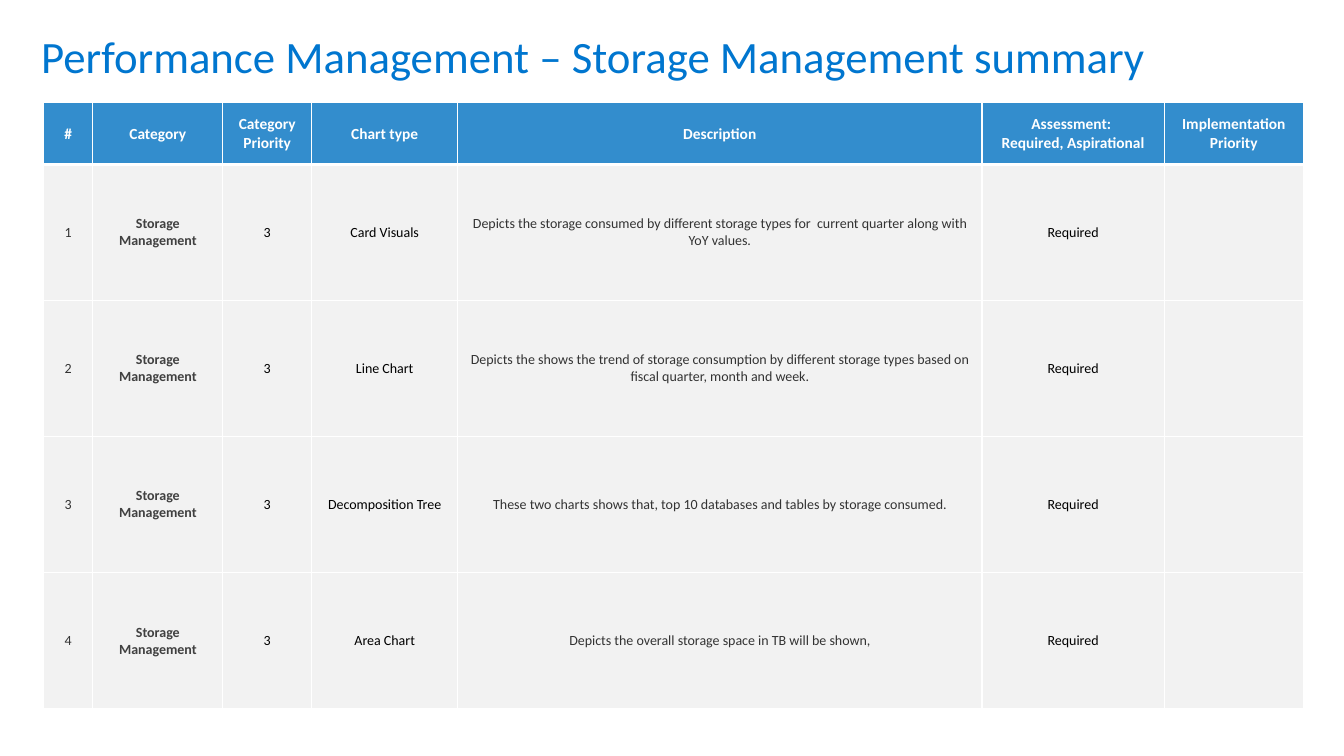
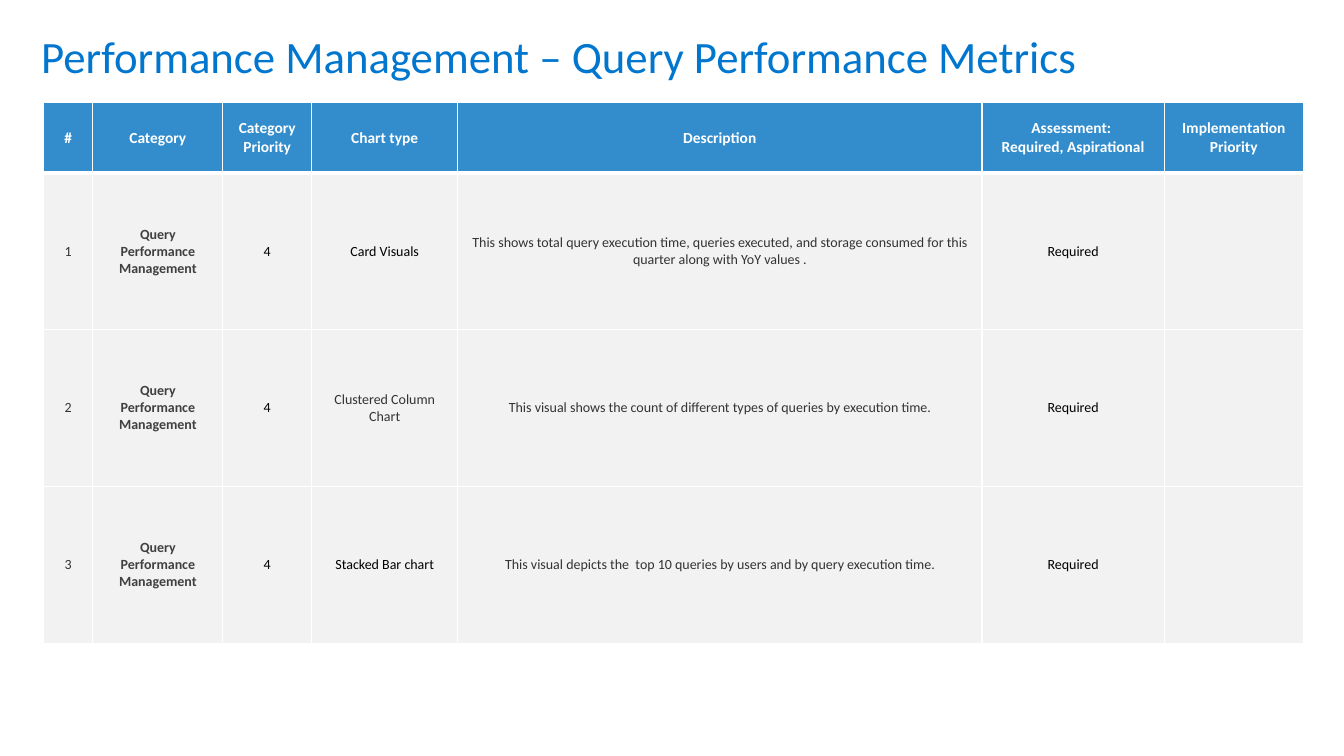
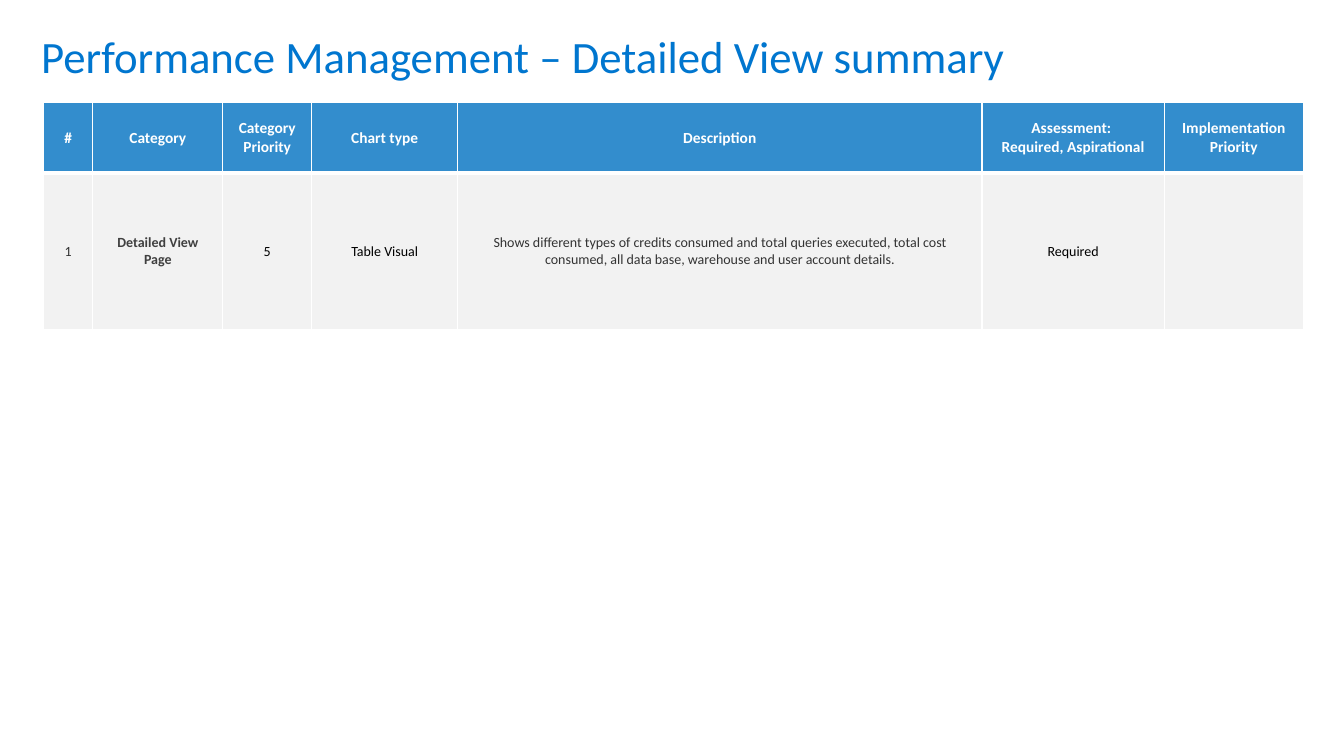
"""Build three summary slides, each a title above a table of charts."""
from lxml.etree import SubElement
from pptx import Presentation
from pptx.dml.color import RGBColor
from pptx.enum.text import MSO_ANCHOR, PP_ALIGN
from pptx.oxml.ns import qn
from pptx.util import Pt

HEX = {"title": "0076CF", "head": "338DCD", "cell": "F2F2F2", "white": "FFFFFF",
       "black": "000000", "dark": "333333", "gray": "404040"}
FONT = "Calibri"
HEADS = ["#", "Category", "Category Priority", "Chart type", "Description",
         "Assessment: \nRequired, Aspirational", "Implementation Priority"]
WIDTHS = [35.3, 92.9, 63.4, 104.4, 374.4, 130.3, 99.3]
SHADES = ["dark", "gray", "black", "black", "dark", "black", "black"]
GRAY_KINDS = {"Clustered Column Chart"}
LEFT, TOP = 31, 73.5

PAGES = [
    {"title": "Storage Management summary", "group": "Storage Management",
     "rank": "3", "head": 44, "row": 97.2, "charts": [
         ("Card Visuals", "Depicts the storage consumed by different storage types "
          "for  current quarter along with YoY values."),
         ("Line Chart", "Depicts the shows the trend of storage consumption by different "
          "storage types based on fiscal quarter, month and week."),
         ("Decomposition Tree", "These two charts shows that, top 10 databases and "
          "tables by storage consumed."),
         ("Area Chart", "Depicts the overall storage space in TB will be shown,")]},
    {"title": "Query Performance Metrics", "group": "Query Performance Management",
     "rank": "4", "head": 50, "row": 112, "charts": [
         ("Card Visuals", "This shows total query execution time, queries executed, and "
          "storage consumed for this quarter along with YoY values ."),
         ("Clustered Column Chart", "This visual shows the count of different types of "
          "queries by execution time."),
         ("Stacked Bar chart", "This visual depicts the  top 10 queries by users and by "
          "query execution time.")]},
    {"title": "Detailed View summary", "group": "Detailed View Page",
     "rank": "5", "head": 50, "row": 112, "charts": [
         ("Table Visual", "Shows different types of credits consumed and total queries "
          "executed, total cost consumed, all data base, warehouse and user account "
          "details.")]},
]


def color(name):
    return RGBColor.from_string(HEX[name])


def style(para, size, shade, bold=False):
    font = para.font
    font.name, font.size, font.bold = FONT, Pt(size), bold
    font.color.rgb = color(shade)


def edge(cell, top, base):
    props = cell._tc.get_or_add_tcPr()
    for side, width in (("L", 1), ("R", 1), ("T", top), ("B", base)):
        line = SubElement(props, qn(f"a:ln{side}"), w=str(Pt(width)))
        fill = SubElement(line, qn("a:solidFill"))
        SubElement(fill, qn("a:srgbClr"), val=HEX["white"])


def paint(cell, text, fill, size, shade, bold, top=1, base=1):
    edge(cell, top, base)
    cell.fill.solid()
    cell.fill.fore_color.rgb = color(fill)
    cell.vertical_anchor = MSO_ANCHOR.MIDDLE
    para = cell.text_frame.paragraphs[0]
    para.text = text
    para.alignment = PP_ALIGN.CENTER
    style(para, size, shade, bold)


def add_title(slide, text):
    frame = slide.shapes.add_textbox(Pt(22.3), Pt(17.3), Pt(937.4), Pt(40.3)).text_frame
    frame.word_wrap = True
    para = frame.paragraphs[0]
    para.text = f"Performance Management – {text}"
    style(para, 32, "title")


def add_grid(slide, page):
    charts = page["charts"]
    tall = [page["head"]] + [page["row"]] * len(charts)
    table = slide.shapes.add_table(len(tall), len(WIDTHS), Pt(LEFT), Pt(TOP),
                                   Pt(sum(WIDTHS)), Pt(sum(tall))).table
    for col, width in zip(table.columns, WIDTHS):
        col.width = Pt(width)
    for row, height in zip(table.rows, tall):
        row.height = Pt(height)
    for c, text in enumerate(HEADS):
        paint(table.cell(0, c), text, "head", 11, "white", True, base=3)
    for r, (kind, note) in enumerate(charts, 1):
        texts = [str(r), page["group"], page["rank"], kind, note, "Required", ""]
        for c, (text, shade) in enumerate(zip(texts, SHADES)):
            shade = "dark" if text in GRAY_KINDS else shade
            paint(table.cell(r, c), text, "cell", 10, shade, c == 1,
                  top=3 if r == 1 else 1)


def main():
    deck = Presentation()
    deck.slide_width, deck.slide_height = Pt(960), Pt(540)
    for page in PAGES:
        slide = deck.slides.add_slide(deck.slide_layouts[6])
        add_title(slide, page["title"])
        add_grid(slide, page)
    deck.save("out.pptx")


if __name__ == "__main__":
    main()
